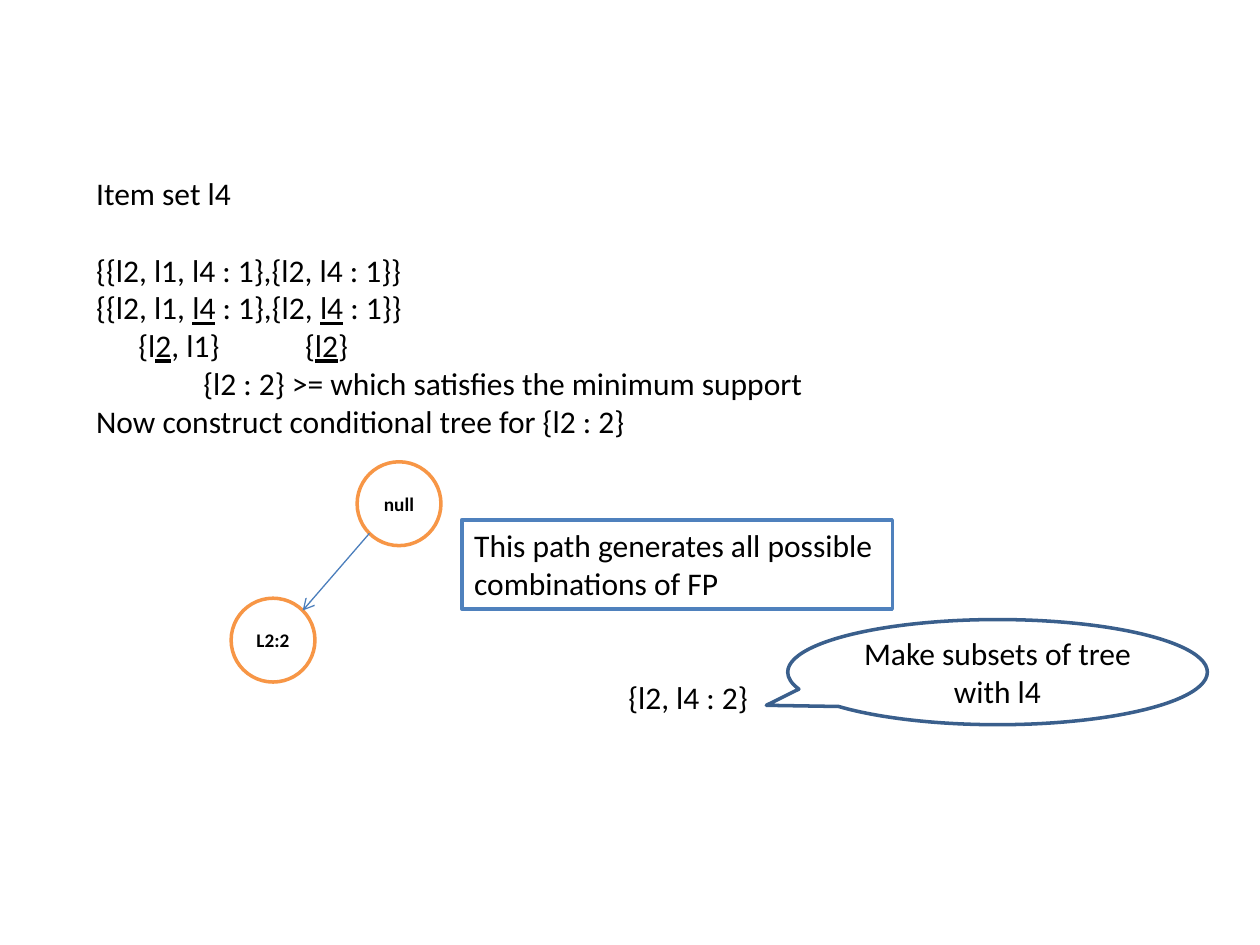
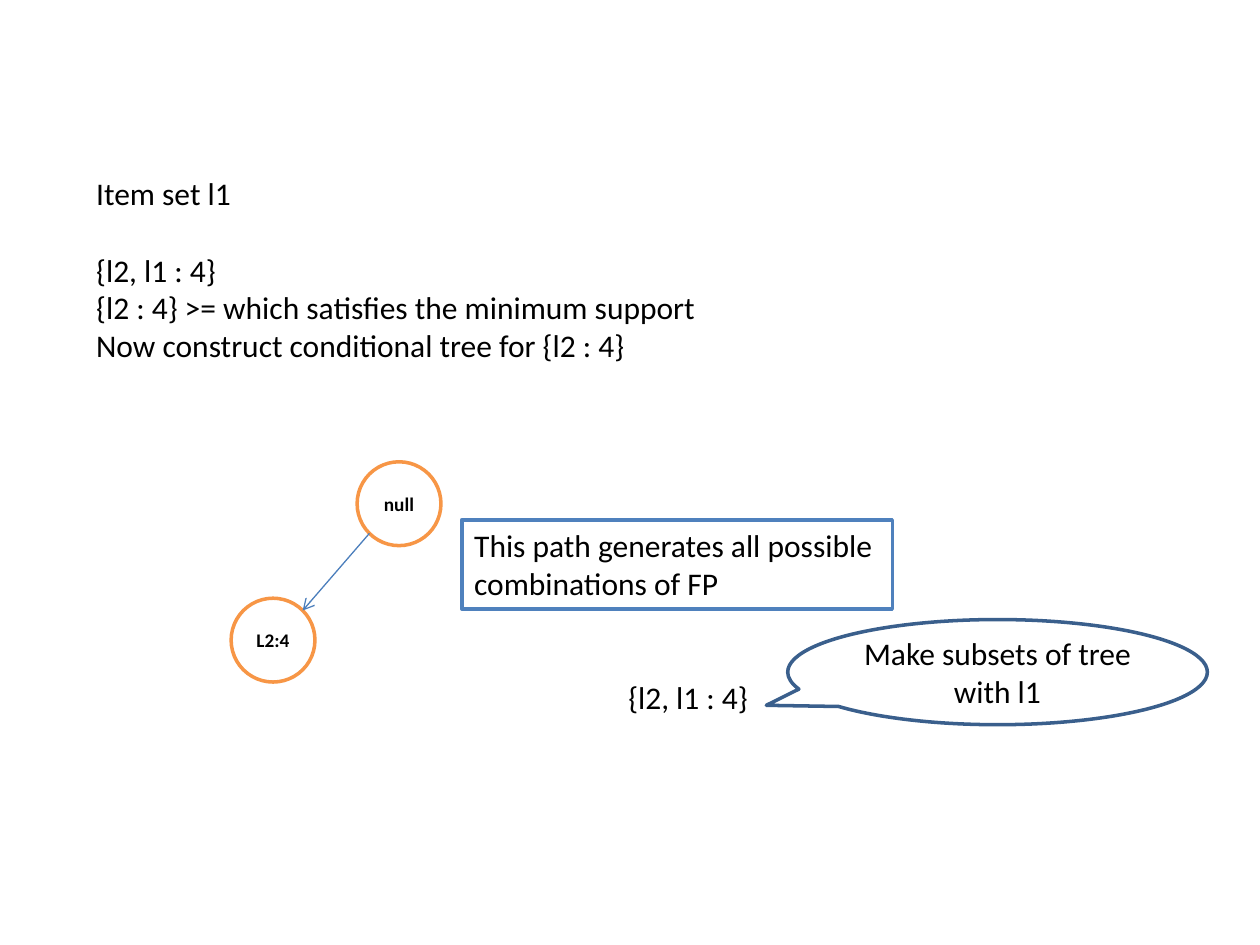
from dataclasses import dataclass

from lxml import etree
from pptx import Presentation
from pptx.dml.color import RGBColor
from pptx.enum.shapes import MSO_CONNECTOR, MSO_SHAPE
from pptx.enum.text import MSO_ANCHOR, MSO_AUTO_SIZE, PP_ALIGN
from pptx.oxml.ns import qn
from pptx.util import Cm, Pt

LINE = MSO_CONNECTOR.STRAIGHT
OVAL, RECT = MSO_SHAPE.OVAL, MSO_SHAPE.RECTANGLE
BUBBLE = MSO_SHAPE.OVAL_CALLOUT
TOP, MIDDLE = MSO_ANCHOR.TOP, MSO_ANCHOR.MIDDLE
LEFT, CENTER, RIGHT = PP_ALIGN.LEFT, PP_ALIGN.CENTER, PP_ALIGN.RIGHT
GROW = MSO_AUTO_SIZE.SHAPE_TO_FIT_TEXT


@dataclass(frozen=True)
class Theme:
    """Colours, type sizes and line widths of the deck."""
    font: str = "Calibri"
    ink: str = "000000"
    paper: str = "FFFFFF"
    ring: str = "F79646"
    arrow: str = "4B7EBC"
    frame: str = "4F81BD"
    bubble: str = "3A5F8C"
    body: int = 18
    label: int = 11
    gap: int = 22
    thick: float = 2
    thin: float = 0.75


@dataclass(frozen=True)
class Box:
    """A region in centimetres."""
    x: float
    y: float
    w: float
    h: float

    def cm(self):
        """Return the region as lengths."""
        return Cm(self.x), Cm(self.y), Cm(self.w), Cm(self.h)


THEME = Theme()
NOTES = Box(1.69, 3.39, 16.72, 5.64)
TREE = Box(4.66, 9.31, 4.23, 4.44)
RESULT = Box(6.56, 10.48, 17.78, 4.13)
NODE = 1.69
INDENTS = (0.85, 4.21)
DEEP = (2.16,)


def rgb(code):
    """Turn a hex code into a colour."""
    return RGBColor.from_string(code)


def style(para, size=THEME.body, bold=False, align=LEFT):
    """Format a paragraph and its runs."""
    para.alignment = align
    for run in para.runs:
        font = run.font
        font.name, font.size, font.bold = THEME.font, Pt(size), bold
        font.color.rgb = rgb(THEME.ink)


def set_tabs(para, stops):
    """Give a paragraph left tab stops."""
    tabs = etree.SubElement(para._p.get_or_add_pPr(), qn("a:tabLst"))
    for stop in stops:
        etree.SubElement(tabs, qn("a:tab"), pos=str(Cm(stop)), algn="l")


def add_text(slide, box):
    """Add a wrapping text box and return its frame."""
    frame = slide.shapes.add_textbox(*box.cm()).text_frame
    frame.word_wrap, frame.auto_size = True, GROW
    return frame


def add_form(slide, kind, box, text, line, fill=None, size=THEME.body,
             bold=False, align=CENTER, anchor=MIDDLE, wrap=True):
    """Add an outlined preset shape with text."""
    form = slide.shapes.add_shape(kind, *box.cm())
    form.shadow.inherit = False
    if fill:
        form.fill.solid()
        form.fill.fore_color.rgb = rgb(fill)
    else:
        form.fill.background()
    form.line.color.rgb = rgb(line)
    form.line.width = Pt(THEME.thick)
    frame = form.text_frame
    frame.text = text
    frame.word_wrap, frame.vertical_anchor = wrap, anchor
    style(frame.paragraphs[0], size, bold, align)
    return form


def add_arrow(slide, start, end):
    """Draw a thin line with an open arrowhead at its end."""
    points = [Cm(value) for value in (*start, *end)]
    arrow = slide.shapes.add_connector(LINE, *points)
    arrow.line.color.rgb = rgb(THEME.arrow)
    arrow.line.width = Pt(THEME.thin)
    etree.SubElement(arrow.line._get_or_add_ln(), qn("a:tailEnd"), type="arrow")
    etree.SubElement(arrow._element.spPr, qn("a:effectLst"))


def draw_notes(slide, box, head, lines):
    """Write the heading and steps; underscores enclose underlined parts."""
    frame = add_text(slide, box)
    title = frame.paragraphs[0]
    title.text = head
    title.space_after = Pt(THEME.gap)
    style(title)
    for text, stops in lines:
        para = frame.add_paragraph()
        for index, part in enumerate(text.split("_")):
            run = para.add_run()
            run.text = part
            run.font.underline = index % 2 == 1
        style(para)
        if stops:
            set_tabs(para, stops)


def draw_tree(slide, box, leaf):
    """Draw the root at top right and the leaf at bottom left."""
    root = Box(box.x + box.w - NODE, box.y, NODE, NODE)
    child = Box(box.x, box.y + box.h - NODE, NODE, NODE)
    for spot, text in ((root, "null"), (child, leaf)):
        add_form(slide, OVAL, spot, text, THEME.ring, THEME.paper,
                 THEME.label, bold=True, wrap=False)
    near = NODE / 2 * (1 - 0.5 ** 0.5)
    far = NODE - near
    add_arrow(slide, (root.x + near, root.y + far),
              (child.x + far, child.y + near))


def draw_result(slide, box, item, found):
    """Place the path note, the pattern found and its callout."""
    note = Box(box.x + 2.75, box.y, 8.68, 1.8)
    add_form(slide, RECT, note,
             "This path generates all possible combinations of FP",
             THEME.frame, THEME.paper, align=LEFT, anchor=TOP)
    frame = add_text(slide, Box(box.x, box.y + 3.07, 9.31, 1.03))
    frame.margin_right = Cm(0.79)
    frame.text = found
    style(frame.paragraphs[0], align=RIGHT)
    wide, high = 8.46, 2.12
    spot = Box(box.x + box.w - wide, box.y + box.h - high, wide, high)
    bubble = add_form(slide, BUBBLE, spot,
                      f"Make subsets of tree with {item}", THEME.bubble)
    bubble.adjustments[0] = -0.551
    bubble.adjustments[1] = 0.316


def add_item(deck, item, count, steps):
    """Add the slide that mines one item set."""
    slide = deck.slides.add_slide(deck.slide_layouts[6])
    last = (f"Now construct conditional tree for {{l2 : {count}}}", ())
    draw_notes(slide, NOTES, f"Item set {item}", [*steps, last])
    draw_tree(slide, TREE, f"L2:{count}")
    draw_result(slide, RESULT, item, f"{{l2, {item} : {count}}}")


def main():
    """Build and save the deck."""
    deck = Presentation()
    deck.slide_width, deck.slide_height = Cm(25.4), Cm(19.05)
    add_item(deck, "l4", 2, [
        ("{{l2, l1, l4 : 1},{l2, l4 : 1}}", ()),
        ("{{l2, l1, _l4_ : 1},{l2, _l4_ : 1}}", ()),
        ("\t{l_2_, l1}\t{_l2_}", INDENTS),
        ("\t{l2 : 2} >= which satisfies the minimum support", DEEP),
    ])
    add_item(deck, "l1", 4, [
        ("{l2, l1 : 4}", ()),
        ("{l2 : 4} >= which satisfies the minimum support", ()),
    ])
    deck.save("out.pptx")


if __name__ == "__main__":
    main()
